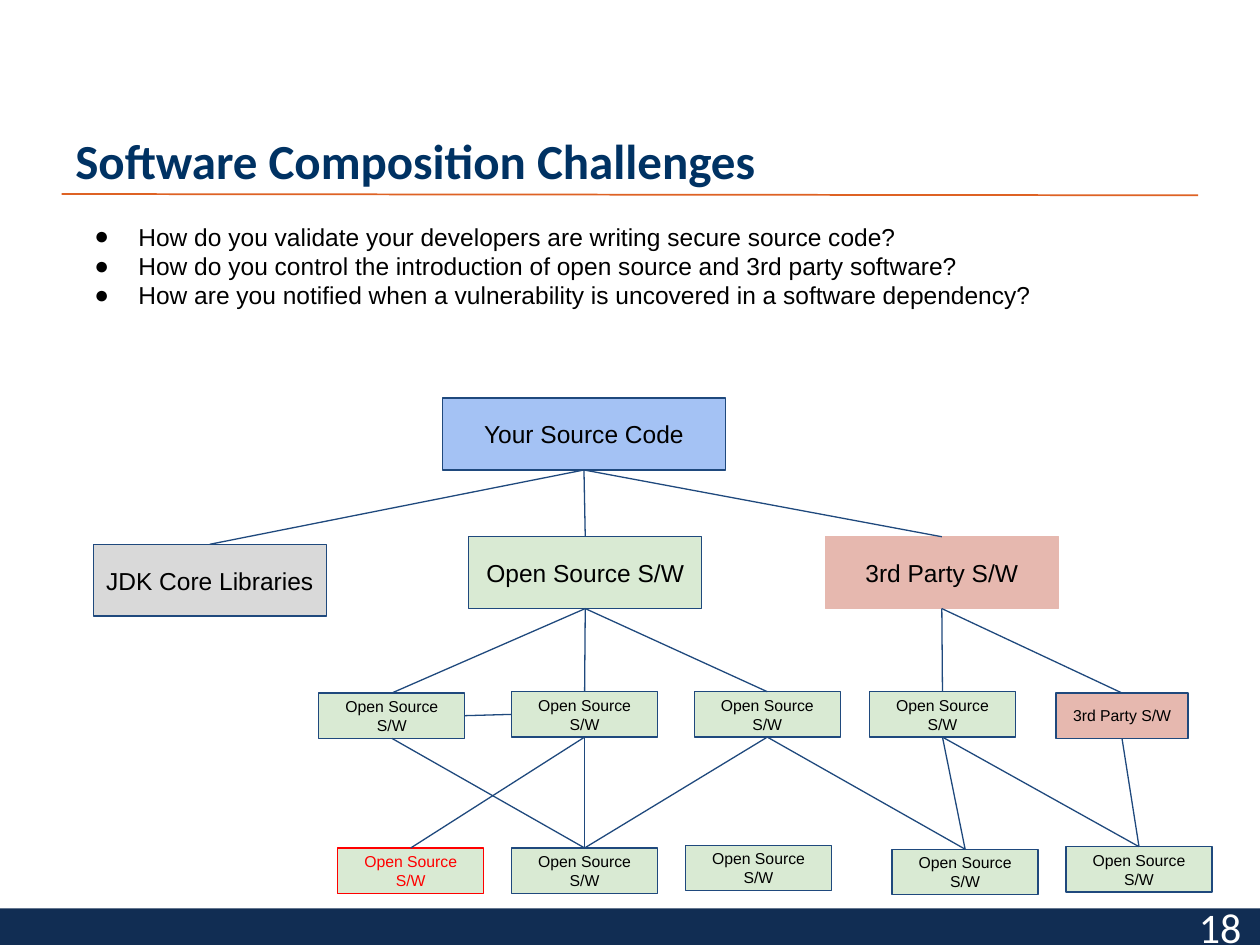
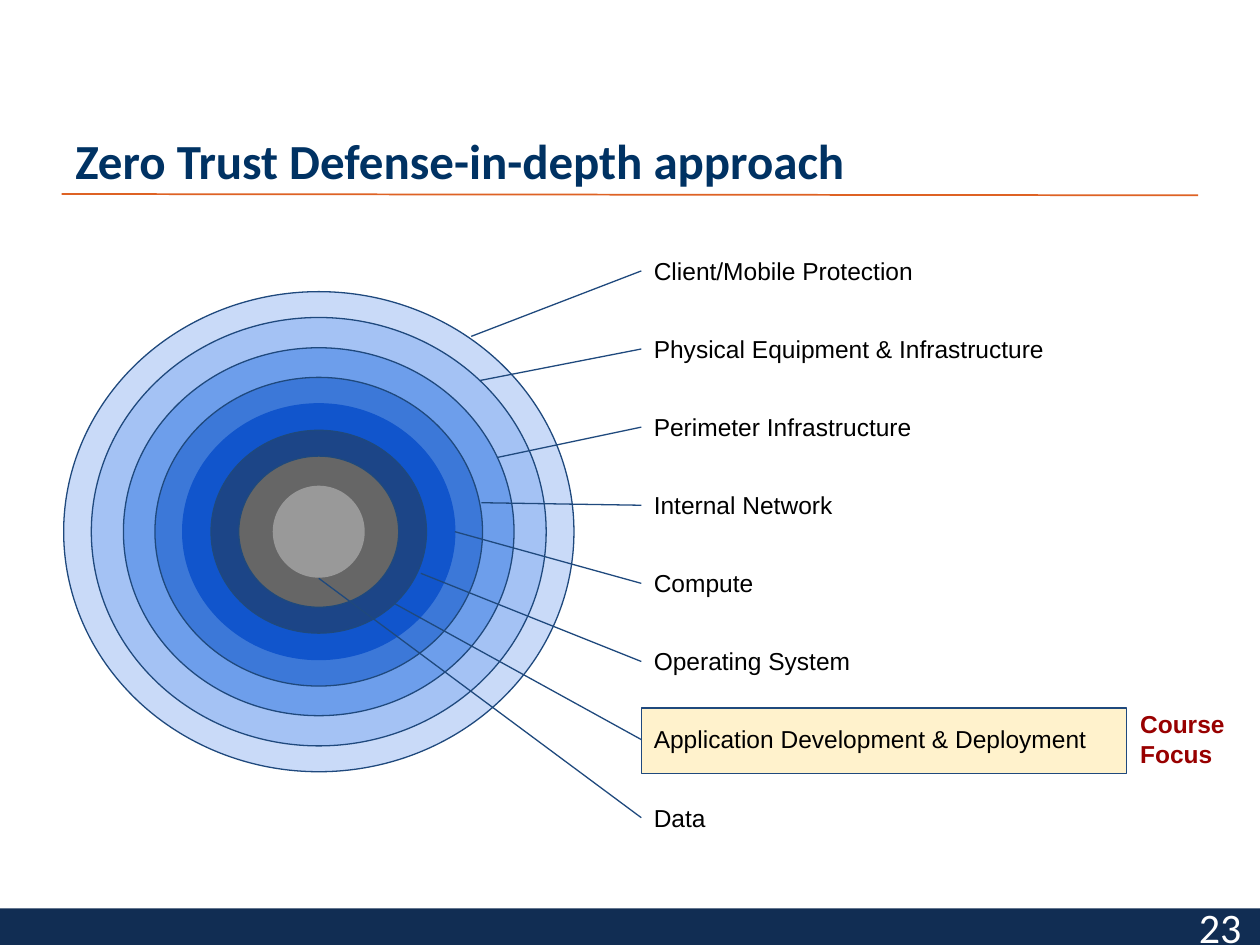
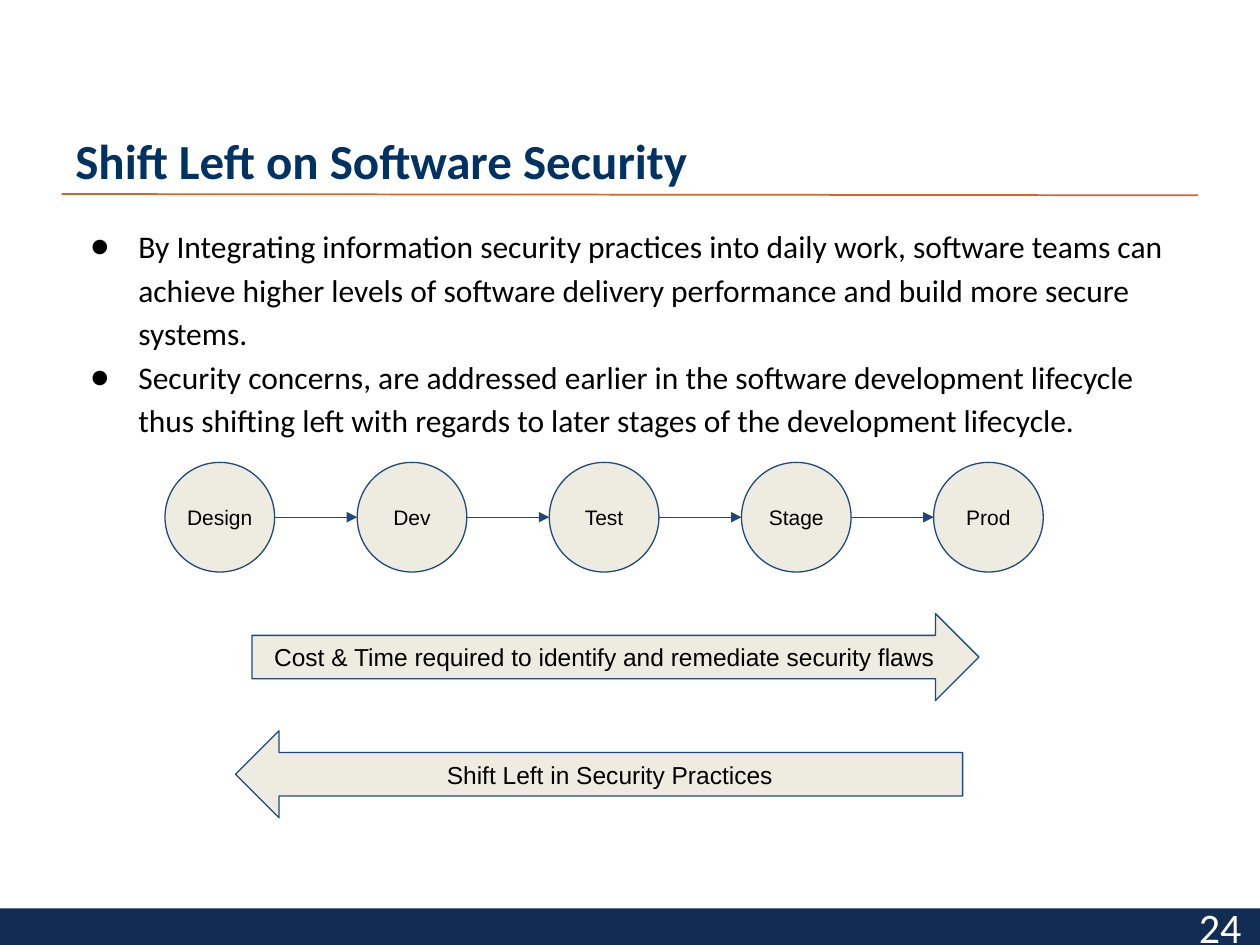
from dataclasses import dataclass
from typing import NamedTuple, Optional

from lxml.etree import SubElement
from pptx import Presentation
from pptx.dml.color import RGBColor
from pptx.enum.shapes import MSO_CONNECTOR, MSO_SHAPE
from pptx.enum.text import MSO_ANCHOR as Anchor, PP_ALIGN as Align
from pptx.oxml.ns import qn
from pptx.shapes.autoshape import Shape
from pptx.shapes.connector import Connector
from pptx.slide import Slide
from pptx.util import Inches, Pt

NAVY = RGBColor(0x11, 0x2D, 0x53)
TITLE_BLUE = RGBColor(0x00, 0x32, 0x63)
ORANGE = RGBColor(0xDE, 0x62, 0x24)
OUTLINE = RGBColor(0x1F, 0x49, 0x7D)
WHITE = RGBColor(0xFF, 0xFF, 0xFF)
BLACK = RGBColor(0x00, 0x00, 0x00)
RED = RGBColor(0xFF, 0x00, 0x00)
DARK_RED = RGBColor(0x98, 0x00, 0x00)
GREEN = RGBColor(0xD9, 0xEA, 0xD3)
PINK = RGBColor(0xE6, 0xB8, 0xAF)
LIGHT_GREY = RGBColor(0xD9, 0xD9, 0xD9)
MID_GREY = RGBColor(0x99, 0x99, 0x99)
DARK_GREY = RGBColor(0x66, 0x66, 0x66)
CREAM = RGBColor(0xFF, 0xF2, 0xCC)
STONE = RGBColor(0xEE, 0xEC, 0xE1)
BLUE_1 = RGBColor(0xC9, 0xDA, 0xF8)
BLUE_2 = RGBColor(0xA4, 0xC2, 0xF4)
BLUE_3 = RGBColor(0x6D, 0x9E, 0xEB)
BLUE_4 = RGBColor(0x3C, 0x78, 0xD8)
BLUE_5 = RGBColor(0x11, 0x55, 0xCC)
BLUE_6 = RGBColor(0x1C, 0x45, 0x87)

TOP, LEFT, BOTTOM, RIGHT = range(4)  # connection sites of a rectangle


class Box(NamedTuple):
    left: float
    top: float
    width: float
    height: float


class Point(NamedTuple):
    x: float
    y: float


@dataclass(frozen=True)
class TextStyle:
    size: float
    font: str = "Arial"
    color: RGBColor = BLACK
    bold: bool = False
    align: Align = Align.LEFT
    anchor: Anchor = Anchor.TOP
    inset_x: float = 0.1
    inset_y: float = 0.1


@dataclass(frozen=True)
class BulletStyle:
    text: TextStyle
    hanging: float
    line_spacing: float = 1.0
    space_before: float = 0


@dataclass(frozen=True)
class Node:
    """One software component in the dependency tree."""
    box: Box
    text: str
    fill: RGBColor = GREEN
    outline: RGBColor = OUTLINE
    size: float = 9
    color: RGBColor = BLACK


class Link(NamedTuple):
    parent: str
    child: str
    leave: int = BOTTOM
    enter: int = TOP


class Layer(NamedTuple):
    """One ring of defense with the point its leader line touches."""
    label: str
    width: float
    height: float
    fill: RGBColor
    outline: Optional[RGBColor]
    touch: Point


TITLE = TextStyle(28, "Calibri", TITLE_BLUE, True, anchor=Anchor.BOTTOM, inset_y=0.05)
PAGE_NUMBER = TextStyle(24, "Calibri", WHITE, align=Align.RIGHT, anchor=Anchor.MIDDLE,
                        inset_y=0.05)
LABEL = TextStyle(14)
FOCUS = TextStyle(14, color=DARK_RED, bold=True)
ARROW_TEXT = TextStyle(14, align=Align.CENTER, anchor=Anchor.MIDDLE)
STAGE_TEXT = TextStyle(12, align=Align.CENTER, anchor=Anchor.MIDDLE, inset_x=0)
QUESTIONS = BulletStyle(TextStyle(14, inset_y=0.05), 0.35)
STATEMENTS = BulletStyle(TextStyle(18, "Calibri", inset_y=0.05), 0.38, 1.15, 10)

BODY_BOX = Box(0.5, 1.71, 9, 4.95)


def small(left: float, top: float) -> Box:
    return Box(left, top, 1.16, 0.36)


def large(left: float, top: float) -> Box:
    return Box(left, top, 1.85, 0.57)


NODES = {
    "source": Node(Box(3.51, 3.16, 2.25, 0.57), "Your Source Code", BLUE_2, size=14),
    "jdk": Node(large(0.74, 4.32), "JDK Core Libraries", LIGHT_GREY, size=14),
    "open": Node(large(3.72, 4.26), "Open Source S/W", size=14),
    "third": Node(large(6.55, 4.26), "3rd Party S/W", PINK, PINK, 14),
    "open a": Node(small(2.53, 5.5), "Open Source S/W"),
    "open b": Node(small(4.06, 5.49), "Open Source S/W"),
    "open c": Node(small(5.51, 5.49), "Open Source S/W"),
    "open d": Node(small(6.9, 5.49), "Open Source S/W"),
    "third e": Node(Box(8.38, 5.5, 1.05, 0.36), "3rd Party S/W", PINK),
    "vulnerable": Node(small(2.68, 6.73), "Open Source S/W", outline=RED, color=RED),
    "leaf b": Node(small(4.06, 6.73), "Open Source S/W"),
    "leaf c": Node(small(5.44, 6.71), "Open Source S/W"),
    "leaf d": Node(small(7.08, 6.74), "Open Source S/W"),
    "leaf e": Node(small(8.46, 6.72), "Open Source S/W"),
}
LINKS = [
    Link("source", "jdk"), Link("source", "open"), Link("source", "third"),
    Link("open", "open a"), Link("open", "open b"), Link("open", "open c"),
    Link("open a", "open b", RIGHT, LEFT),
    Link("open a", "leaf b"),
    Link("open b", "vulnerable"), Link("open b", "leaf b"),
    Link("open c", "leaf b"), Link("open c", "leaf d"),
    Link("third", "open d"), Link("third", "third e"),
    Link("open d", "leaf d"), Link("open d", "leaf e"),
    Link("third e", "leaf e"),
]

RING_CENTER = Point(2.53, 4.22)
LABEL_LEFT = 5.09
LEADER_TOP, LEADER_STEP = 2.15, 0.62
LAYERS = [
    Layer("Client/Mobile Protection", 4.05, 3.81, BLUE_1, OUTLINE, Point(3.74, 2.67)),
    Layer("Physical Equipment & Infrastructure", 3.61, 3.4, BLUE_2, OUTLINE,
          Point(3.81, 3.02)),
    Layer("Perimeter Infrastructure", 3.1, 2.92, BLUE_3, OUTLINE, Point(3.95, 3.63)),
    Layer("Internal Network", 2.6, 2.45, BLUE_4, OUTLINE, Point(3.82, 3.99)),
    Layer("Compute", 2.16, 2.03, BLUE_5, BLUE_5, Point(3.61, 4.22)),
    Layer("Operating System", 1.71, 1.61, BLUE_6, OUTLINE, Point(3.34, 4.55)),
    Layer("Application Development & Deployment", 1.27, 1.2, DARK_GREY, OUTLINE,
          Point(3.13, 4.79)),
    Layer("Data", 0.73, 0.73, MID_GREY, None, Point(2.53, 4.59)),
]

STAGES = ["Design", "Dev", "Test", "Stage", "Prod"]
STAGE_LEFT, STAGE_TOP, STAGE_SIZE = 1.31, 3.67, 0.87
STAGE_STEP = 6.1 / (len(STAGES) - 1)


def format_frame(shape: Shape, text: str, style: TextStyle) -> None:
    frame = shape.text_frame
    frame.word_wrap = True
    frame.vertical_anchor = style.anchor
    frame.margin_left = frame.margin_right = Inches(style.inset_x)
    frame.margin_top = frame.margin_bottom = Inches(style.inset_y)
    frame.text = text
    for paragraph in frame.paragraphs:
        paragraph.alignment = style.align
        for run in paragraph.runs:
            run.font.name = style.font
            run.font.size = Pt(style.size)
            run.font.bold = style.bold
            run.font.color.rgb = style.color


def add_text(slide: Slide, box: Box, text: str, style: TextStyle) -> Shape:
    text_box = slide.shapes.add_textbox(*map(Inches, box))
    format_frame(text_box, text, style)
    return text_box


def add_bullets(slide: Slide, items: list[str], style: BulletStyle) -> None:
    body = add_text(slide, BODY_BOX, "\n".join(items), style.text)
    paragraphs = body.text_frame.paragraphs
    paragraphs[0].space_before = Pt(style.space_before)
    for paragraph in paragraphs:
        paragraph.line_spacing = style.line_spacing
        properties = paragraph._p.get_or_add_pPr()
        properties.set("marL", str(Inches(0.5)))
        properties.set("indent", str(-Inches(style.hanging)))
        bullet_color = SubElement(properties, qn("a:buClr"))
        SubElement(bullet_color, qn("a:srgbClr"), val=str(BLACK))
        SubElement(properties, qn("a:buFont"), typeface=style.text.font)
        SubElement(properties, qn("a:buChar"), char="●")


def add_figure(slide: Slide, kind: MSO_SHAPE, box: Box, fill: RGBColor,
               outline: Optional[RGBColor] = OUTLINE) -> Shape:
    figure = slide.shapes.add_shape(kind, *map(Inches, box))
    figure.shadow.inherit = False
    figure.fill.solid()
    figure.fill.fore_color.rgb = fill
    if outline is None:
        figure.line.fill.background()
    else:
        figure.line.color.rgb = outline
        figure.line.width = Pt(0.75)
    return figure


def add_line(slide: Slide, start: Point, end: Point, color: RGBColor = OUTLINE,
             width: float = 0.75, arrow: bool = False) -> Connector:
    line = slide.shapes.add_connector(MSO_CONNECTOR.STRAIGHT,
                                      *map(Inches, (*start, *end)))
    line.line.color.rgb = color
    line.line.width = Pt(width)
    if arrow:
        SubElement(line.line._get_or_add_ln(), qn("a:tailEnd"), type="triangle")
    SubElement(line._element.spPr, qn("a:effectLst"))
    return line


def add_base_slide(deck: Presentation, title: str, number: int) -> Slide:
    """Add a slide with the title, the rule below it and the numbered footer band."""
    slide = deck.slides.add_slide(deck.slide_layouts[6])
    add_line(slide, Point(0.49, 1.54), Point(9.51, 1.55), ORANGE, 1)
    add_figure(slide, MSO_SHAPE.RECTANGLE, Box(0, 7.21, 10.02, 0.29), NAVY, None)
    add_text(slide, Box(0.5, 0.3, 7.6, 1.25), title, TITLE)
    add_text(slide, Box(7.7, 7.21, 2.25, 0.29), str(number), PAGE_NUMBER)
    return slide


def build_composition(deck: Presentation) -> None:
    slide = add_base_slide(deck, "Software Composition Challenges", 18)
    components = {}
    for key, node in NODES.items():
        component = add_figure(slide, MSO_SHAPE.RECTANGLE, node.box, node.fill, node.outline)
        format_frame(component, node.text,
                     TextStyle(node.size, color=node.color, align=Align.CENTER,
                               anchor=Anchor.MIDDLE))
        components[key] = component
    for link in LINKS:
        dependency = add_line(slide, Point(0, 0), Point(0, 0))
        dependency.begin_connect(components[link.parent], link.leave)
        dependency.end_connect(components[link.child], link.enter)
    add_bullets(slide, [
        "How do you validate your developers are writing secure source code?",
        "How do you control the introduction of open source and 3rd party software?",
        "How are you notified when a vulnerability is uncovered in a software dependency?",
    ], QUESTIONS)


def build_zero_trust(deck: Presentation) -> None:
    slide = add_base_slide(deck, "Zero Trust Defense-in-depth approach", 23)
    add_figure(slide, MSO_SHAPE.RECTANGLE, Box(LABEL_LEFT, 5.62, 3.85, 0.52), CREAM)
    for layer in LAYERS:
        ring = Box(RING_CENTER.x - layer.width / 2, RING_CENTER.y - layer.height / 2,
                   layer.width, layer.height)
        add_figure(slide, MSO_SHAPE.OVAL, ring, layer.fill, layer.outline)
    for row, layer in enumerate(LAYERS):
        leader_y = LEADER_TOP + LEADER_STEP * row
        add_text(slide, Box(LABEL_LEFT, leader_y - 0.22, 3.95, 0.44), layer.label, LABEL)
        add_line(slide, layer.touch, Point(LABEL_LEFT, leader_y))
    add_text(slide, Box(8.95, 5.53, 1.29, 0.67), "Course Focus", FOCUS)


def build_shift_left(deck: Presentation) -> None:
    slide = add_base_slide(deck, "Shift Left on Software Security", 24)
    add_bullets(slide, [
        "By Integrating information security practices into daily work, software teams can "
        "achieve higher levels of software delivery performance and build more secure systems.",
        "Security concerns, are addressed earlier in the software development lifecycle thus "
        "shifting left with regards to later stages of the development lifecycle.",
    ], STATEMENTS)
    for kind, box, text in [
        (MSO_SHAPE.RIGHT_ARROW, Box(2, 4.87, 5.77, 0.69),
         "Cost & Time required to identify and remediate security flaws"),
        (MSO_SHAPE.LEFT_ARROW, Box(1.87, 5.8, 5.77, 0.69),
         "Shift Left in Security Practices"),
    ]:
        format_frame(add_figure(slide, kind, box, STONE), text, ARROW_TEXT)
    middle = STAGE_TOP + STAGE_SIZE / 2
    for position, name in enumerate(STAGES):
        left = STAGE_LEFT + STAGE_STEP * position
        stage = add_figure(slide, MSO_SHAPE.OVAL,
                           Box(left, STAGE_TOP, STAGE_SIZE, STAGE_SIZE), STONE)
        format_frame(stage, name, STAGE_TEXT)
        if position:
            previous_right = left - STAGE_STEP + STAGE_SIZE
            add_line(slide, Point(previous_right, middle), Point(left, middle), arrow=True)


def main() -> None:
    deck = Presentation()
    deck.slide_width, deck.slide_height = Inches(10), Inches(7.5)
    build_composition(deck)
    build_zero_trust(deck)
    build_shift_left(deck)
    deck.save("out.pptx")


if __name__ == "__main__":
    main()
